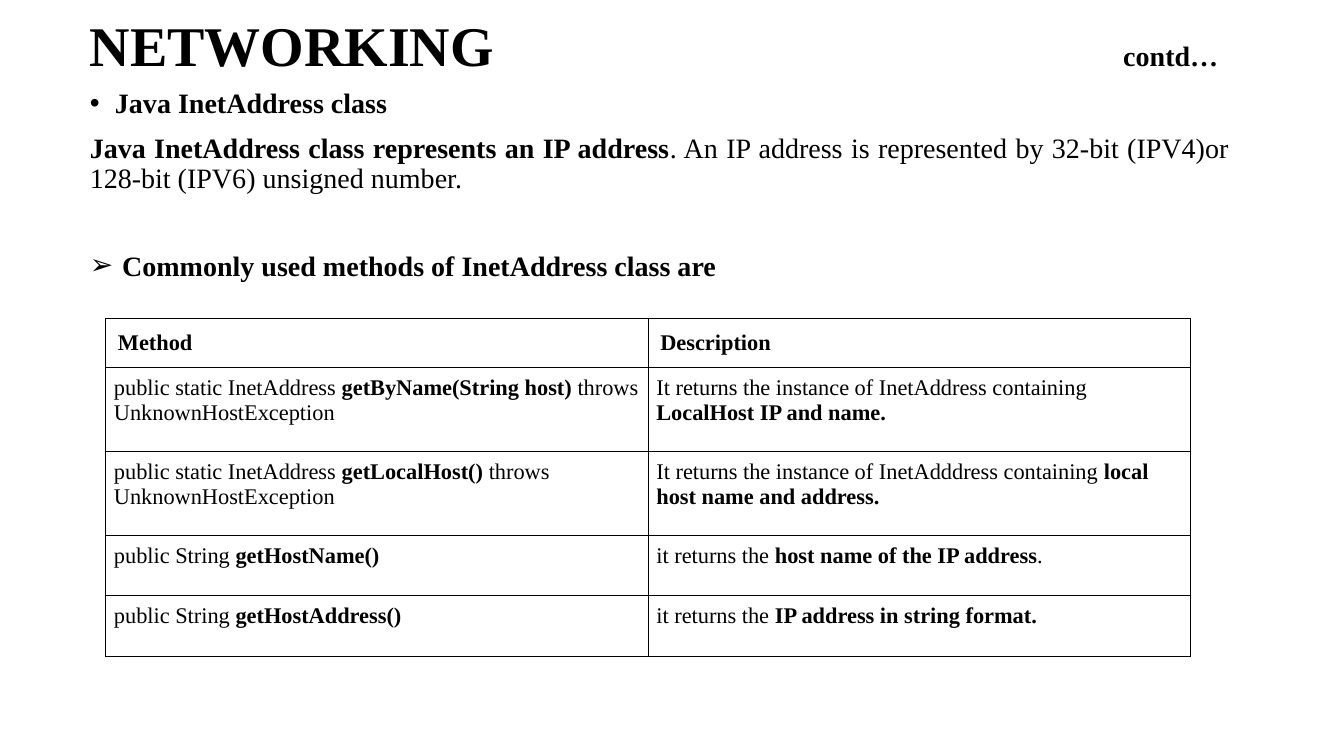
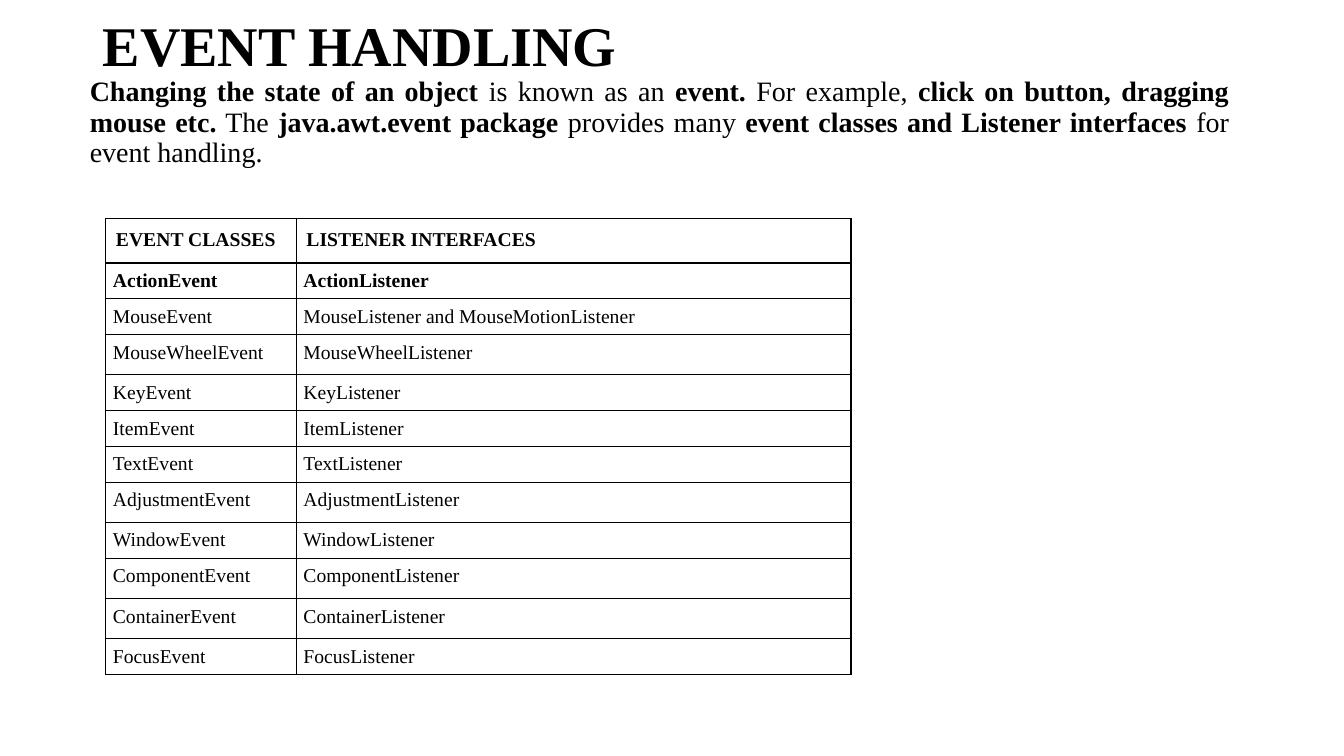
import pptx
import pptx.util
import pptx.dml.color
import pptx.enum.text
import pptx.oxml
import pptx.oxml.ns
from lxml import etree

Inches, Pt = pptx.util.Inches, pptx.util.Pt
ALIGN = pptx.enum.text.PP_ALIGN
ANCHOR = pptx.enum.text.MSO_ANCHOR
qn = pptx.oxml.ns.qn
FONT = "Times New Roman"
BLACK = "000000"
MARGIN = 0.79
BODY_W, BODY_H = 11.5, 6.66
TITLE_Y, TITLE_H = -0.24, 1.45
TABLE_X = 1.05


def rgb(value):
    return pptx.dml.color.RGBColor.from_string(value)


def write(p, text, size=20, color=BLACK, align=ALIGN.LEFT, line=None, before=None):
    p.alignment = align
    if line is not None:
        p.line_spacing = line
    if before is not None:
        p.space_before = Pt(before)
    for i, part in enumerate(text.split("**")):
        if part:
            r = p.add_run()
            r.text = part
            r.font.name = FONT
            r.font.size = Pt(size)
            r.font.bold = i % 2 == 1
            r.font.color.rgb = rgb(color)


def set_bullet(p, char=None, indent=0):
    pPr = p._p.get_or_add_pPr()
    pPr.set("marL", str(Inches(indent)))
    pPr.set("indent", str(-Inches(indent)))
    if char:
        etree.SubElement(pPr, qn("a:buFont")).set("typeface", "Arial")
        etree.SubElement(pPr, qn("a:buChar")).set("char", char)
    else:
        etree.SubElement(pPr, qn("a:buNone"))


def place(sp, x, y, w, h):
    sp.left, sp.top, sp.width, sp.height = map(Inches, (x, y, w, h))
    tf = sp.text_frame
    tf.word_wrap = True
    tf.auto_size = pptx.enum.text.MSO_AUTO_SIZE.NONE
    return tf


def add_title(s, text, x, w, note=None, note_x=0):
    tf = place(s.shapes.title, x, TITLE_Y, w, TITLE_H)
    tf.vertical_anchor = ANCHOR.MIDDLE
    p = tf.paragraphs[0]
    write(p, f"**{text}**", size=40, line=0.9)
    if note:
        write(p, f"**\t{note}**")
        tabs = etree.SubElement(p._p.get_or_add_pPr(), qn("a:tabLst"))
        tab = etree.SubElement(tabs, qn("a:tab"))
        tab.set("pos", str(Inches(note_x)))
        tab.set("algn", "l")


def add_body(s, y, items):
    tf = place(s.placeholders[1], MARGIN, y, BODY_W, BODY_H)
    for i, (text, char, indent, before) in enumerate(items):
        p = tf.add_paragraph() if i else tf.paragraphs[0]
        write(p, text, align=ALIGN.JUSTIFY, line=0.9, before=before)
        set_bullet(p, char, indent)


def set_borders(cell, color=BLACK, width=1):
    tcPr = cell._tc.get_or_add_tcPr()
    for side in ("lnL", "lnR", "lnT", "lnB"):
        ln = etree.SubElement(tcPr, qn(f"a:{side}"))
        ln.set("w", str(Pt(width)))
        fill = etree.SubElement(ln, qn("a:solidFill"))
        etree.SubElement(fill, qn("a:srgbClr")).set("val", color)


def add_grid(s, y, cols, heights, rows, size, head_inset, inset):
    frame = s.shapes.add_table(len(rows), len(cols), Inches(TABLE_X), Inches(y),
                               Inches(sum(cols)), Inches(sum(heights)))
    table = frame.table
    table.first_row = table.horz_banding = False
    for col, w in zip(table.columns, cols):
        col.width = Inches(w)
    for i, (row, h, texts) in enumerate(zip(table.rows, heights, rows)):
        row.height = Inches(h)
        pad = Inches(inset if i else head_inset)
        for cell, text in zip(row.cells, texts):
            cell.margin_left = cell.margin_right = pad
            cell.margin_top = cell.margin_bottom = pad
            set_borders(cell)
            cell.fill.background()
            write(cell.text_frame.paragraphs[0], text, size=size)


def networking_slide(prs):
    s = prs.slides.add_slide(prs.slide_layouts[1])
    add_title(s, "NETWORKING", MARGIN, 11.63, note="contd…", note_x=10.25)
    add_body(s, 0.84, [
        ("**Java InetAddress class**", "•", 0.25, 10),
        ("**Java InetAddress class represents an IP address**. An IP address is "
         "represented by 32-bit (IPV4)or 128-bit (IPV6) unsigned number.", None, 0, 10),
        ("**Commonly used methods of InetAddress class are**", "➢", 0.32, 41),
    ])
    add_grid(s, 3.16, [5.38, 5.38], [0.49, 0.83, 0.83, 0.6, 0.6], [
        ("**Method**", "**Description**"),
        ("public static InetAddress **getByName(String host) **throws UnknownHostException",
         "It returns the instance of InetAddress containing **LocalHost IP and name.**"),
        ("public static InetAddress **getLocalHost() **throws UnknownHostException",
         "It returns the instance of InetAdddress containing **local host name and address.**"),
        ("public String **getHostName()**", "it returns the **host name of the IP address**."),
        ("public String **getHostAddress()**", "it returns the **IP address in string format.**"),
    ], size=16, head_inset=0.12, inset=0.08)


def event_slide(prs):
    s = prs.slides.add_slide(prs.slide_layouts[1])
    add_title(s, "EVENT HANDLING", 0.92, BODY_W)
    add_body(s, 0.72, [
        ("**Changing the state of an object **is known as an **event.** For example, "
         "**click on button, dragging mouse etc.** The **java.awt.event package **provides "
         "many **event classes and Listener interfaces **for event handling.", None, 0, 10),
    ])
    names = ["MouseWheel", "Key", "Item", "Text", "Adjustment", "Window",
             "Component", "Container", "Focus"]
    rows = [
        ("**EVENT CLASSES**", "**LISTENER INTERFACES**"),
        ("**ActionEvent**", "**ActionListener**"),
        ("MouseEvent", "MouseListener and MouseMotionListener"),
    ] + [(f"{name}Event", f"{name}Listener") for name in names]
    heights = [0.44, 0.35, 0.35] + [0.4 if len(name) > 8 else 0.35 for name in names]
    add_grid(s, 2.17, [1.89, 5.5], heights, rows, size=14, head_inset=0.1, inset=0.07)


def main():
    prs = pptx.Presentation()
    prs.slide_width, prs.slide_height = Inches(13.33), Inches(7.5)
    networking_slide(prs)
    event_slide(prs)
    prs.save("out.pptx")


if __name__ == "__main__":
    main()
